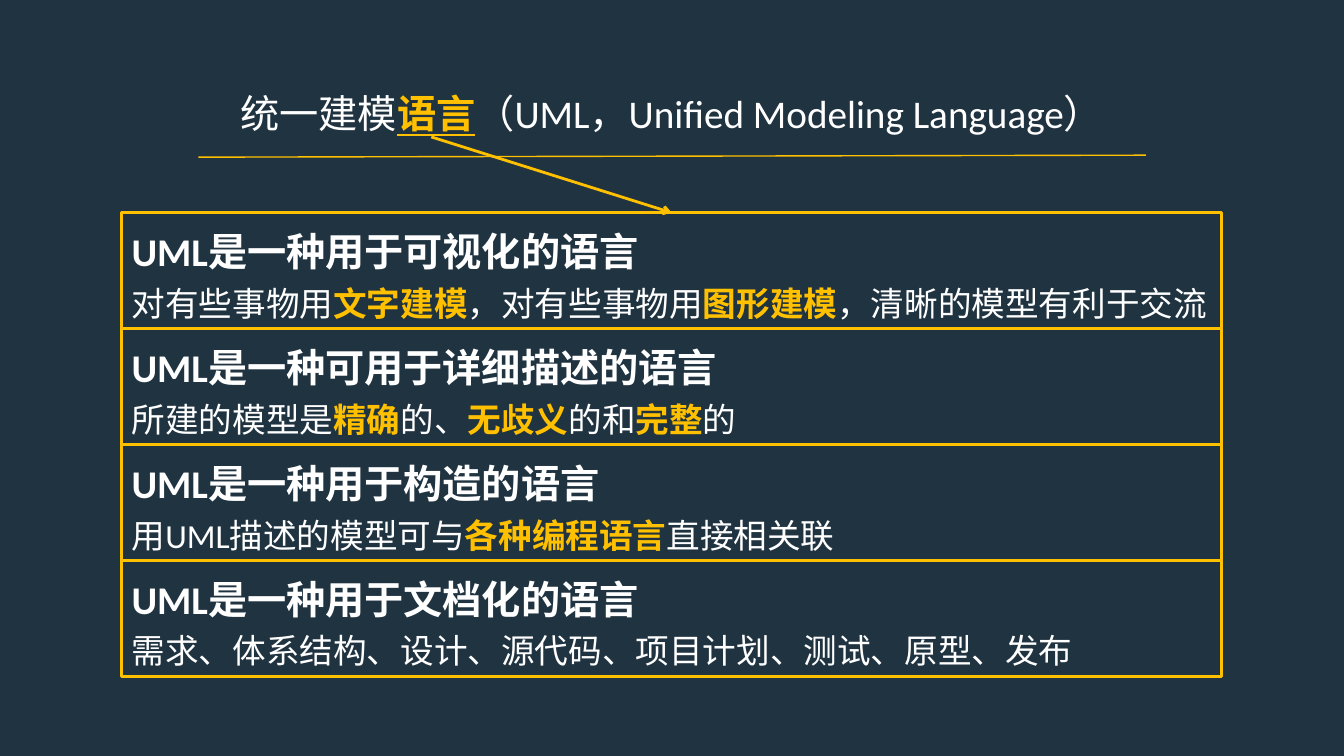
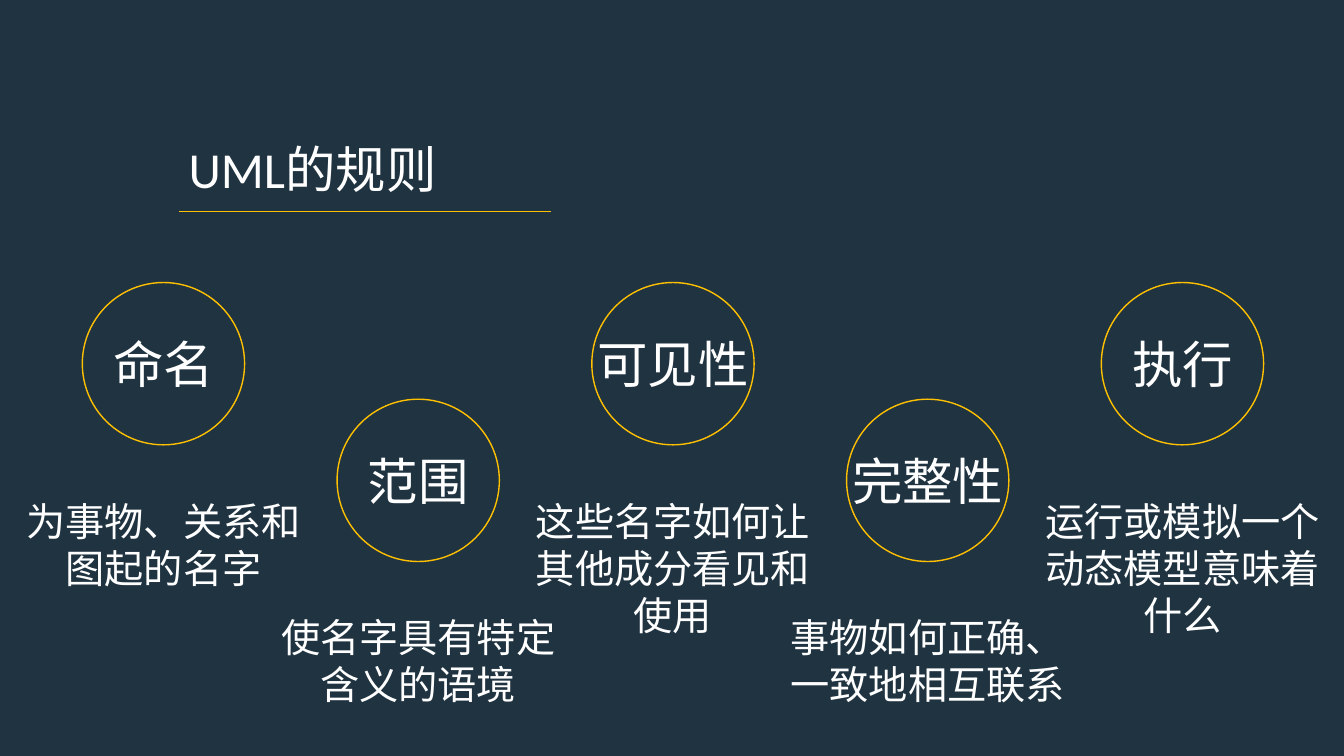
from math import ceil

from lxml import etree
from pptx import Presentation
from pptx.dml.color import RGBColor
from pptx.enum.shapes import MSO_CONNECTOR as Link, MSO_SHAPE as Form
from pptx.enum.text import MSO_ANCHOR as Anchor, MSO_AUTO_SIZE as Fit, PP_ALIGN as Align
from pptx.oxml.ns import qn
from pptx.util import Cm, Pt

# Content: text between asterisks is highlighted
HEAD = "统一建模*语言*（UML，Unified Modeling Language）"
TRAITS = [
    ("UML是一种用于可视化的语言",
     "对有些事物用*文字建模*，对有些事物用*图形建模*，清晰的模型有利于交流"),
    ("UML是一种可用于详细描述的语言", "所建的模型是*精确*的、*无歧义*的和*完整*的"),
    ("UML是一种用于构造的语言", "用UML描述的模型可与*各种编程语言*直接相关联"),
    ("UML是一种用于文档化的语言", "需求、体系结构、设计、源代码、项目计划、测试、原型、发布"),
]
RULES = [
    ("命名", "为事物、关系和图起的名字"),
    ("范围", "使名字具有特定含义的语境"),
    ("可见性", "这些名字如何让其他成分看见和使用"),
    ("完整性", "事物如何正确、一致地相互联系"),
    ("执行", "运行或模拟一个动态模型意味着什么"),
]

# Shared style
FONT, NAVY, GOLD, WHITE = "Calibri", "203341", "FFC000", "FFFFFF"


def color(code):
    return RGBColor.from_string(code)


def style(run, size, code=WHITE, bold=False):
    font = run.font
    font.name, font.size, font.bold = FONT, Pt(size), bold
    font.color.rgb = color(code)


def write(para, text, size, bold=False, under=False):
    for i, part in enumerate(text.split("*")):
        run = para.add_run()
        run.text = part
        hot = i % 2 == 1
        style(run, size, GOLD if hot else WHITE, bold or hot)
        if hot and under:
            run.font.underline = True


def title(slide, text, size, align, left, top, width, height):
    head = slide.shapes.title
    head.left, head.top, head.width, head.height = map(Cm, (left, top, width, height))
    frame = head.text_frame
    frame.word_wrap, frame.auto_size = True, Fit.NONE
    frame.vertical_anchor = Anchor.MIDDLE
    para = frame.paragraphs[0]
    para.alignment = align
    write(para, text, size, under=True)


def line(slide, x1, y1, x2, y2, width=1):
    link = slide.shapes.add_connector(Link.STRAIGHT, *map(Cm, (x1, y1, x2, y2)))
    link.line.color.rgb, link.line.width = color(GOLD), Pt(width)
    etree.SubElement(link._element.spPr, qn("a:effectLst"))
    return link


def outline(slide, form, left, top, width, height, weight):
    shape = slide.shapes.add_shape(form, *map(Cm, (left, top, width, height)))
    shape.shadow.inherit = False
    shape.fill.background()
    shape.line.color.rgb, shape.line.width = color(GOLD), Pt(weight)
    shape.text_frame.vertical_anchor = Anchor.MIDDLE
    return shape


# Slide 1: four stacked boxes
def traits(slide):
    title(slide, HEAD, 28, Align.CENTER, 4.7, 2.13, 24.46, 1.45)
    line(slide, 5, 3.96, 28.88, 3.91)
    left, top, width, height = 3.07, 5.36, 27.71, 2.92
    boxes = []
    for i, (name, note) in enumerate(TRAITS):
        box = outline(slide, Form.RECTANGLE, left, top + i * height, width, height, 2)
        frame = box.text_frame
        frame.word_wrap = True
        for para, text, size, bold in (
            (frame.paragraphs[0], name, 28, True),
            (frame.add_paragraph(), note, 24, False),
        ):
            para.alignment, para.line_spacing = Align.LEFT, 1.2
            write(para, text, size, bold)
        boxes.append(box)

    # Arrow from the highlighted word to the first box
    arrow = line(slide, 10.87, 3.45, left + width / 2, top, 2)
    arrow.end_connect(boxes[0], 0)
    etree.SubElement(arrow.line._get_or_add_ln(), qn("a:tailEnd"), type="arrow")


# Slide 2: circles alternating between two heights
def rules(slide):
    title(slide, "UML的规则", 36, Align.LEFT, 4.5, 3.33, 8.74, 1.8)
    line(slide, 4.5, 5.33, 13.89, 5.33)
    first, step, size, wide = 4.12, 6.42, 4.09, 7.82
    for i, (name, note) in enumerate(RULES):
        mid = first + i * step
        top = 7.12 + i % 2 * 2.94
        ring = outline(slide, Form.OVAL, mid - size / 2, top, size, size, 1)
        ring.text_frame.word_wrap = False
        rows = ceil(len(note) / 7)
        area = (mid - wide / 2, top + 5.28, wide, 0.25 + rows * 1.2)
        label = slide.shapes.add_textbox(*map(Cm, area))
        label.text_frame.word_wrap = True
        for shape, text, points in ((ring, name, 36), (label, note, 28)):
            para = shape.text_frame.paragraphs[0]
            para.text, para.alignment = text, Align.CENTER
            style(para.runs[0], points)


def main():
    prs = Presentation()
    prs.slide_width, prs.slide_height = Cm(33.87), Cm(19.05)
    back = prs.slide_master.background.fill
    back.solid()
    back.fore_color.rgb = color(NAVY)
    for build in (traits, rules):
        build(prs.slides.add_slide(prs.slide_layouts[5]))
    prs.save("out.pptx")


if __name__ == "__main__":
    main()
